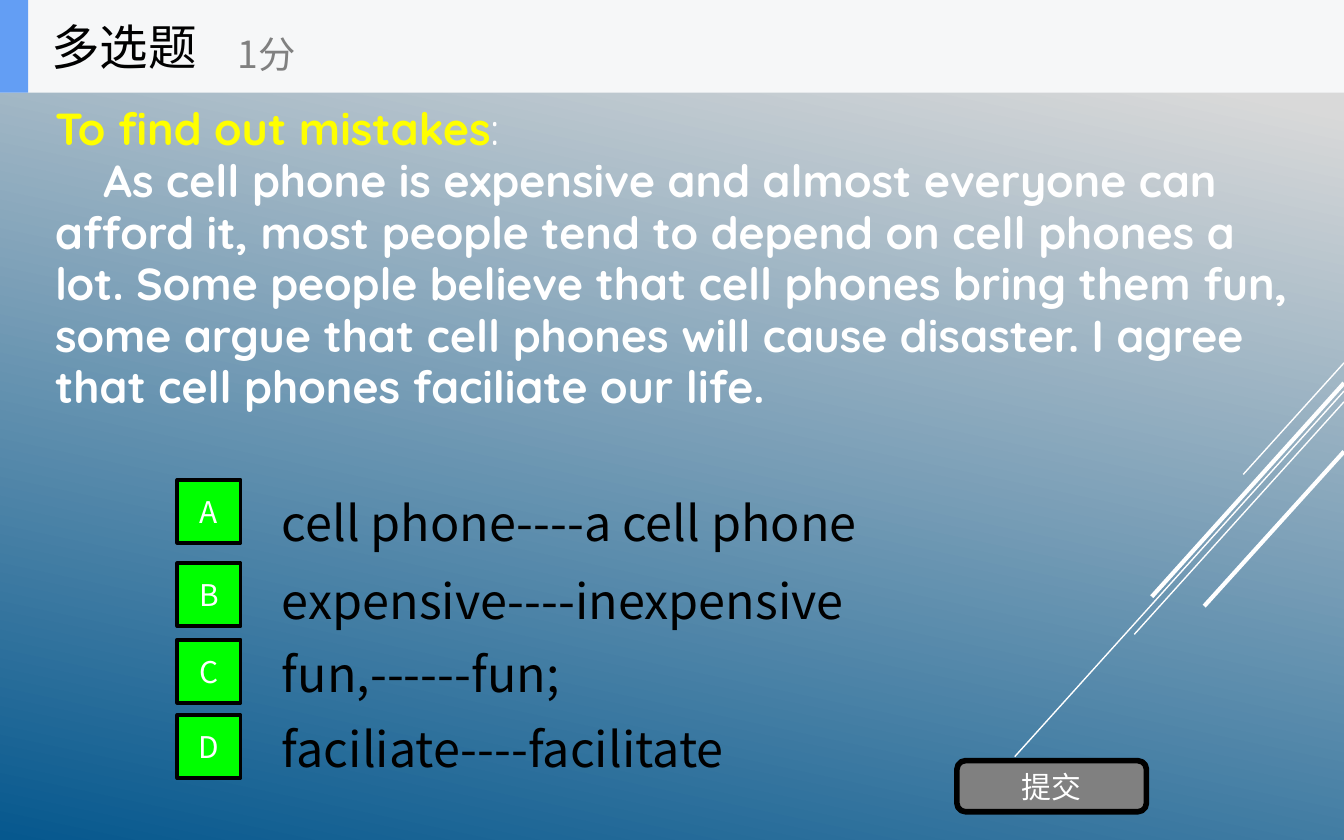
import pptx
import pptx.util
import pptx.dml.color
import pptx.enum.dml
import pptx.enum.shapes
import pptx.enum.text
import pptx.oxml
import pptx.oxml.ns

COLORS = {
    "white": "FFFFFF", "black": "000000", "gray": "808080", "yellow": "FFFF00",
    "green": "00FF00", "blue": "639EF4", "header": "F6F7F8",
    "sky": "D9D9D9", "sea": "06588E",
}
CJK, LATIN = "Noto Sans CJK SC", "Quicksand"
SHAPE = pptx.enum.shapes.MSO_SHAPE
ALIGN = pptx.enum.text.PP_ALIGN
CELL = pptx.util.Inches(0.1)  # grid of 100 columns by 62.5 rows


def rgb(name):
    return pptx.dml.color.RGBColor.from_string(COLORS[name])


def grid(*cells):
    return [round(c * CELL) for c in cells]


class Deck:
    def __init__(self):
        self.prs = pptx.Presentation()
        self.prs.slide_width, self.prs.slide_height = grid(100, 62.5)
        self.s = self.prs.slides.add_slide(self.prs.slide_layouts[1])

    def background(self, start, end, angle):
        fill = self.s.background.fill
        fill.gradient()
        fill.gradient_angle = 360 - angle  # python-pptx counts anticlockwise
        for stop, (pos, color) in zip(fill.gradient_stops, (start, end)):
            stop.position = pos
            stop.color.rgb = rgb(color)

    def style(self, r, size, color, font=CJK, bold=False):
        r.font.size, r.font.name, r.font.bold = pptx.util.Pt(size), font, bold
        r.font.color.rgb = rgb(color)
        ea = pptx.oxml.parse_xml(
            f'<a:ea {pptx.oxml.ns.nsdecls("a")} typeface="{font}"/>')
        r.font._element.find(pptx.oxml.ns.qn("a:latin")).addnext(ea)

    def frame(self, tf, text, size, color, align=ALIGN.LEFT, wrap=True):
        tf.text = text
        tf.word_wrap = wrap
        tf.auto_size = pptx.enum.text.MSO_AUTO_SIZE.NONE
        tf.vertical_anchor = pptx.enum.text.MSO_ANCHOR.MIDDLE
        for p in tf.paragraphs:
            p.alignment = align
            for r in p.runs:
                self.style(r, size, color)

    def line(self, start, end, width):
        c = self.s.shapes.add_connector(
            pptx.enum.shapes.MSO_CONNECTOR.STRAIGHT, *grid(*start, *end))
        c.line.color.rgb = rgb("white")
        c.line.width = pptx.util.Pt(width)
        c._element.spPr.append(
            pptx.oxml.parse_xml(f'<a:effectLst {pptx.oxml.ns.nsdecls("a")}/>'))

    def box(self, place, fill, kind=SHAPE.RECTANGLE, border=0, text=""):
        sp = self.s.shapes.add_shape(kind, *grid(*place))
        sp.shadow.inherit = False
        sp.fill.solid()
        sp.fill.fore_color.rgb = rgb(fill)
        if border:
            sp.line.color.rgb = rgb("black")
            sp.line.width = pptx.util.Pt(border)
        else:
            sp.line.fill.background()
        if text:
            self.frame(sp.text_frame, text, 16, "white", ALIGN.CENTER, False)

    def text(self, place, text, size, color, wrap=True):
        sp = self.s.shapes.add_textbox(*grid(*place))
        self.frame(sp.text_frame, text, size, color, wrap=wrap)

    def placeholder(self, idx, place):
        sp = self.s.placeholders[idx]
        sp.left, sp.top, sp.width, sp.height = grid(*place)
        self.s.shapes._spTree.append(sp._element)  # bring to front
        return sp.text_frame

    def title(self, place, text):
        self.frame(self.placeholder(0, place), text, 26, "black", wrap=False)

    def question(self, place, heading, body, indent):
        tf = self.placeholder(1, place)
        self.frame(tf, f"{heading}\n{body}", 24, "white")
        for p, first in zip(tf.paragraphs, (0, indent)):
            p.space_before = pptx.util.Pt(0)
            p.line_spacing = 0.96
            pPr = p._p.get_or_add_pPr()
            pPr.set("marL", "0")
            pPr.set("indent", str(grid(first)[0]))
            pPr.append(pptx.oxml.parse_xml(
                f'<a:buNone {pptx.oxml.ns.nsdecls("a")}/>'))
        # The heading is yellow, its colon is white
        p = tf.paragraphs[0]
        p.text = heading
        p.add_run().text = ":"
        for r, color in zip(p.runs, ("yellow", "white")):
            self.style(r, 24, color, LATIN, color == "yellow")
        p = tf.paragraphs[1]
        p.text = body
        self.style(p.runs[0], 24, "white", LATIN, True)


def main():
    d = Deck()
    d.background((0.1, "sky"), (1, "sea"), 102)

    # Diagonal rays from the right edge: start row, end point, width
    for row, end, width in (
            (27, (92.5, 35.3), 0.75), (29.1, (75.5, 56.3), 0.75),
            (29.9, (84.4, 47.2), 0.75), (28.5, (85.7, 44.4), 2.25),
            (33.6, (89.6, 45.1), 2.25)):
        d.line((100, row), end, width)

    # Question
    d.question(
        (3.1, 8.1, 93.7, 22.4), "To find out mistakes",
        "As cell phone is expensive and almost everyone can afford it, most "
        "people tend to depend on cell phones a lot. Some people believe that "
        "cell phones bring them fun, some argue that cell phones will cause "
        "disaster. I agree that cell phones faciliate our life.", 3.6)

    # Answers: letter, text, row of the letter box, row of the text
    for letter, answer, box_row, text_row in (
            ("A", "cell phone----a cell phone", 35.7, 35.9),
            ("B", "expensive----inexpensive", 41.9, 41.7),
            ("C", "fun,------fun;", 47.6, 47.1),
            ("D", "faciliate----facilitate", 53.2, 52.7)):
        d.text((20, text_row, 70, 5.9), answer, 26, "black")
        d.box((13.2, box_row, 4.7, 4.7), "green", border=2, text=letter)

    # Submit button
    d.box((71.2, 56.6, 14.1, 3.8), "gray", SHAPE.ROUNDED_RECTANGLE, 3, "提交")

    # Header bar
    d.box((0, 0, 100, 6.9), "header")
    d.box((0, 0, 2.1, 6.9), "blue")
    d.title((2.8, 0, 20.8, 6.9), "多选题")
    d.text((16.7, 1.2, 25, 5.6), "1分", 20, "gray", wrap=False)

    d.prs.save("out.pptx")


if __name__ == "__main__":
    main()
